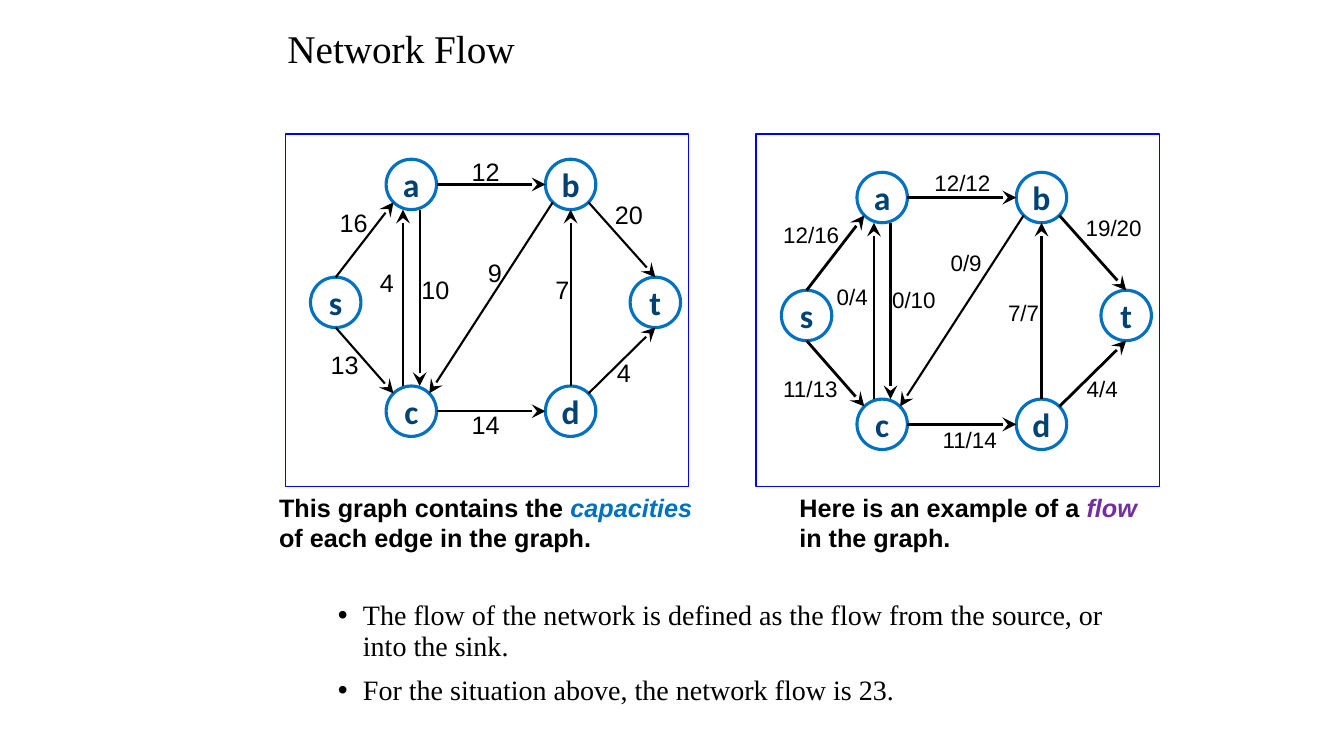
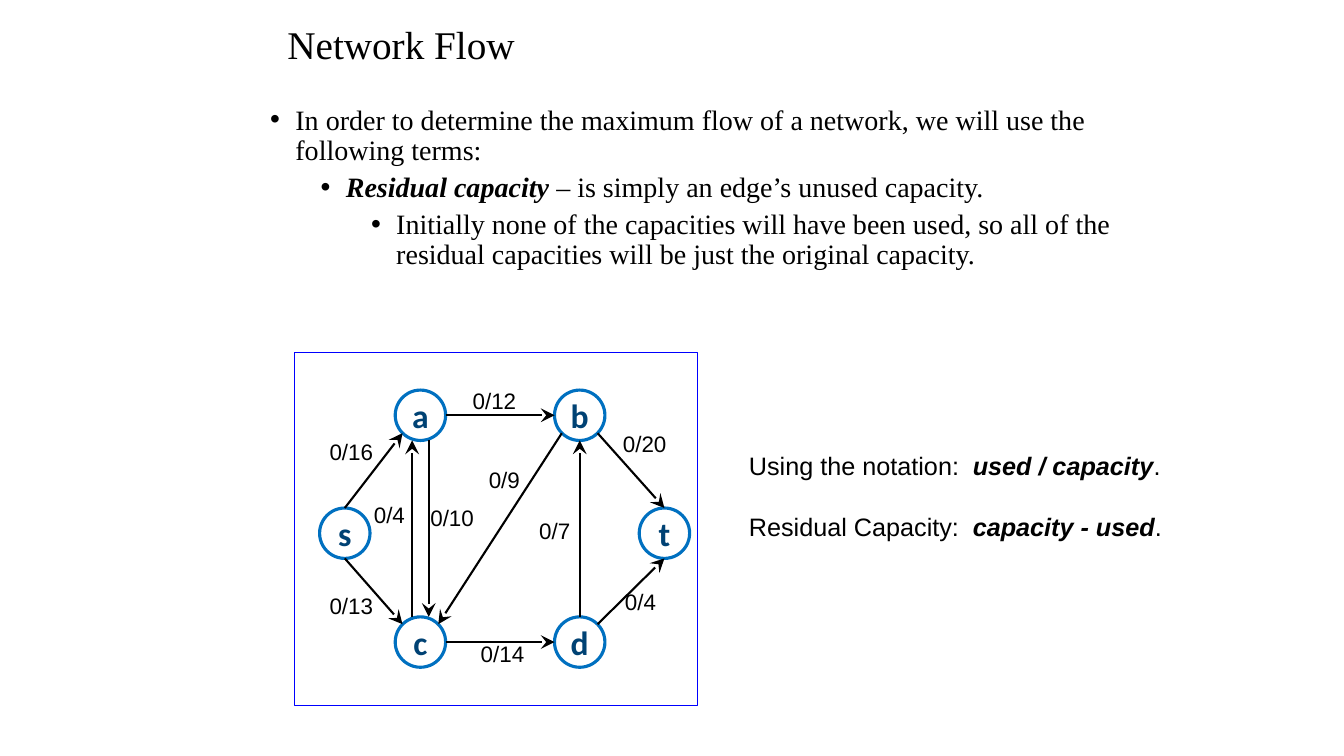
from lxml.etree import SubElement
from pptx import Presentation
from pptx.dml.color import RGBColor
from pptx.enum.shapes import MSO_CONNECTOR, MSO_SHAPE
from pptx.enum.text import MSO_ANCHOR, MSO_AUTO_SIZE, PP_ALIGN
from pptx.oxml.ns import qn
from pptx.util import Inches, Pt

BLACK = RGBColor(0x00, 0x00, 0x00)
FRAME_BLUE = RGBColor(0x00, 0x00, 0xFF)
NODE_BLUE = RGBColor(0x00, 0x70, 0xC0)
NODE_TEXT = RGBColor(0x00, 0x42, 0x74)
PURPLE = RGBColor(0x70, 0x30, 0xA0)

TITLE = dict(name="Times New Roman", size=Pt(28))
BODY = dict(name="Times New Roman", size=Pt(20))
NOTE = dict(name="Arial", size=Pt(18))
CAPTION = dict(NOTE, bold=True)
NODE = dict(name="Calibri", size=Pt(24), bold=True, color=NODE_TEXT)
STRONG = dict(bold=True, italic=True)

FRAME_W, FRAME_H = 4, 3.5
RADIUS = 0.25
DIAG = 0.71
PAIR = 0.33

# Node centres, measured from the left of s and the top of a
NODES = {
    "a": (1, 0.25), "s": (0.25, 1.42), "c": (1, 2.5),
    "b": (2.58, 0.25), "d": (2.58, 2.5), "t": (3.42, 1.42),
}
TOP, BOTTOM, LEFT, RIGHT = (0, -1), (0, 1), (-1, 0), (1, 0)
# Each edge: start node, side it leaves, end node, side it enters
OUTER_EDGES = [
    ("a", RIGHT, "b", LEFT),
    ("s", TOP, "a", (-DIAG, DIAG)),
    ("s", BOTTOM, "c", (-DIAG, -DIAG)),
    ("c", RIGHT, "d", LEFT),
    ("d", (DIAG, -DIAG), "t", BOTTOM),
    ("b", (DIAG, DIAG), "t", TOP),
]
INNER_EDGES = [
    ("a", (PAIR, 1), "c", (PAIR, -1)),
    ("d", TOP, "b", BOTTOM),
    ("b", (-DIAG, DIAG), "c", (DIAG, -DIAG)),
    ("c", (-PAIR, -1), "a", (-PAIR, 1)),
]

# Labels: text, left and top from the same origin as the nodes
CAPACITIES = [
    ("12", 1.5, -0.08), ("16", 0.19, 0.43), ("9", 1.66, 0.92),
    ("4", 0.59, 1.02), ("10", 1, 1.09), ("14", 1.5, 2.43),
    ("7", 2.33, 1.09), ("20", 2.92, 0.35), ("4", 2.94, 1.92),
    ("13", 0.1, 1.84),
]
FLOWS = [
    ("12/12", 1.42, -0.08), ("12/16", -0.08, 0.43), ("0/9", 1.58, 0.71),
    ("0/4", 0.45, 1.05), ("0/10", 1, 1.08), ("11/14", 1.5, 2.47),
    ("4/4", 2.93, 1.96), ("7/7", 2.15, 1.21), ("19/20", 2.92, 0.37),
    ("11/13", -0.08, 1.96),
]
UNUSED = [
    ("0/12", 1.42, -0.08), ("0/16", 0, 0.43), ("0/9", 1.58, 0.71),
    ("0/4", 0.44, 1.05), ("0/10", 1, 1.08), ("0/14", 1.5, 2.43),
    ("0/7", 2.08, 1.21), ("0/20", 2.91, 0.35), ("0/4", 2.93, 1.92),
    ("0/13", 0, 1.96),
]


def set_font(font, color=BLACK, **formats):
    font.color.rgb = color
    for name, value in formats.items():
        setattr(font, name, value)


def add_runs(p, runs, base):
    """Add (text, extra format) runs on top of a base format."""
    for text, extra in runs:
        r = p.add_run()
        r.text = text
        set_font(r.font, **{**base, **extra})


def place(shape, left, top, width, height):
    shape.left, shape.top = Inches(left), Inches(top)
    shape.width, shape.height = Inches(width), Inches(height)


def paragraphs(tf, count):
    return [tf.paragraphs[0]] + [tf.add_paragraph() for _ in range(count - 1)]


def add_title(s, height):
    sp = s.shapes.title
    place(sp, 2.75, 0, 8.2, height)
    tf = sp.text_frame
    tf.auto_size = MSO_AUTO_SIZE.NONE
    tf.vertical_anchor = MSO_ANCHOR.MIDDLE
    p = tf.paragraphs[0]
    p.alignment = PP_ALIGN.LEFT
    p.line_spacing = 0.9
    add_runs(p, [("Network Flow", {})], TITLE)


def add_bullets(s, box, items):
    """Fill the body placeholder with (level, runs) items."""
    sp = s.placeholders[1]
    place(sp, *box)
    tf = sp.text_frame
    tf.auto_size = MSO_AUTO_SIZE.NONE
    for i, (p, (level, runs)) in enumerate(zip(paragraphs(tf, len(items)), items)):
        p.level = level
        p.line_spacing = 0.9
        p.space_before = Pt(0 if i == 0 else 5 if level else 10)
        pPr = p._p.get_or_add_pPr()
        pPr.set("marL", str(Inches(0.25 + 0.5 * level)))
        pPr.set("indent", str(Inches(-0.25)))
        SubElement(pPr, qn("a:buFont"), typeface="Arial")
        SubElement(pPr, qn("a:buChar"), char="•")
        add_runs(p, runs, BODY)


def add_text(s, box, lines, base, wrap=False):
    sp = s.shapes.add_textbox(*map(Inches, box))
    tf = sp.text_frame
    tf.word_wrap = wrap
    for p, runs in zip(paragraphs(tf, len(lines)), lines):
        add_runs(p, runs, base)
    return tf


def add_label(s, text, left, top, size):
    """Add an edge label in a box as wide as its digits and slashes."""
    ems = sum(0.28 if ch == "/" else 0.56 for ch in text)
    box = (left, top, 0.2 + ems * size / 72, 0.1 + size / 60)
    add_text(s, box, [[(text, {})]], dict(name="Arial", size=Pt(size)))


def add_outline(s, kind, box, color, width):
    sp = s.shapes.add_shape(kind, *map(Inches, box))
    sp.shadow.inherit = False
    sp.fill.background()
    sp.line.color.rgb = color
    sp.line.width = Pt(width)
    return sp


def add_node(s, name, x, y):
    box = (x - RADIUS, y - RADIUS, 2 * RADIUS, 2 * RADIUS)
    sp = add_outline(s, MSO_SHAPE.OVAL, box, NODE_BLUE, 2.25)
    tf = sp.text_frame
    tf.word_wrap = False
    tf.vertical_anchor = MSO_ANCHOR.MIDDLE
    p = tf.paragraphs[0]
    p.alignment = PP_ALIGN.CENTER
    add_runs(p, [(name, {})], NODE)


def add_arrow(s, start, end, width):
    cxn = s.shapes.add_connector(MSO_CONNECTOR.STRAIGHT, *map(Inches, start + end))
    cxn.line.color.rgb = BLACK
    cxn.line.width = Pt(width)
    SubElement(cxn.line._get_or_add_ln(), qn("a:tailEnd"), type="stealth", w="lg", len="lg")
    SubElement(cxn._element.spPr, qn("a:effectLst"))


def add_graph(s, frame, origin, labels, label_size=16, outer_width=1.5):
    left, top = origin
    centres = {n: (left + x, top + y) for n, (x, y) in NODES.items()}

    def rim(node, side):
        return tuple(c + RADIUS * d for c, d in zip(centres[node], side))

    for name, centre in centres.items():
        add_node(s, name, *centre)
    for edges, width in ((OUTER_EDGES, outer_width), (INNER_EDGES, 1.5)):
        for start, leaving, end, entering in edges:
            add_arrow(s, rim(start, leaving), rim(end, entering), width)
    add_outline(s, MSO_SHAPE.RECTANGLE, (*frame, FRAME_W, FRAME_H), FRAME_BLUE, 1)
    for text, x, y in labels:
        add_label(s, text, left + x, top + y, label_size)


def add_notation(s):
    lines = [
        [("Using the notation:\t", {}), ("used / capacity", STRONG), (".", {})],
        [("Residual Capacity:\t", {}), ("capacity - used", STRONG), (".", {})],
    ]
    tf = add_text(s, (7.33, 4.42, 4.33, 1.31), lines, NOTE, wrap=True)
    tf.paragraphs[1].space_before = Pt(22)
    for p in tf.paragraphs:
        tabs = SubElement(p._p.get_or_add_pPr(), qn("a:tabLst"))
        SubElement(tabs, qn("a:tab"), pos=str(Inches(2.22)), algn="l")


def build_flow_slide(s):
    add_title(s, 1)
    add_bullets(s, (3.25, 5.92, 8.2, 1.42), [
        (0, [("The flow of the network is defined as the flow from the source, "
              "or into the sink.", {})]),
        (0, [("For the situation above, the network flow is 23.", {})]),
    ])
    add_graph(s, (2.83, 1.33), (3.08, 1.58), CAPACITIES, label_size=18)
    add_graph(s, (7.5, 1.33), (7.75, 1.71), FLOWS, outer_width=2)
    add_text(s, (2.67, 4.83, 4.41, 0.71), [
        [("This graph contains the ", {}),
         ("capacities", dict(italic=True, color=NODE_BLUE))],
        [("of each edge in the graph.", {})],
    ], CAPTION)
    add_text(s, (7.83, 4.83, 3.58, 0.71), [
        [("Here is an example of a ", {}),
         ("flow", dict(italic=True, color=PURPLE))],
        [("in the graph.", {})],
    ], CAPTION)


def build_residual_slide(s):
    add_title(s, 0.92)
    add_bullets(s, (2.58, 1, 8.92, 2.25), [
        (0, [("In order to determine the maximum flow of a network, we will use "
              "the following terms:", {})]),
        (1, [("Residual capacity ", STRONG),
             ("– is simply an edge’s unused capacity.", {})]),
        (2, [("Initially none of the capacities will have been used, so all of the "
              "residual capacities will be just the original capacity.", {})]),
    ])
    add_graph(s, (2.92, 3.5), (3.17, 3.87), UNUSED)
    add_notation(s)


def main():
    prs = Presentation()
    prs.slide_width, prs.slide_height = Inches(13.33), Inches(7.5)
    for build in (build_flow_slide, build_residual_slide):
        build(prs.slides.add_slide(prs.slide_layouts[1]))
    prs.save("out.pptx")


if __name__ == "__main__":
    main()
